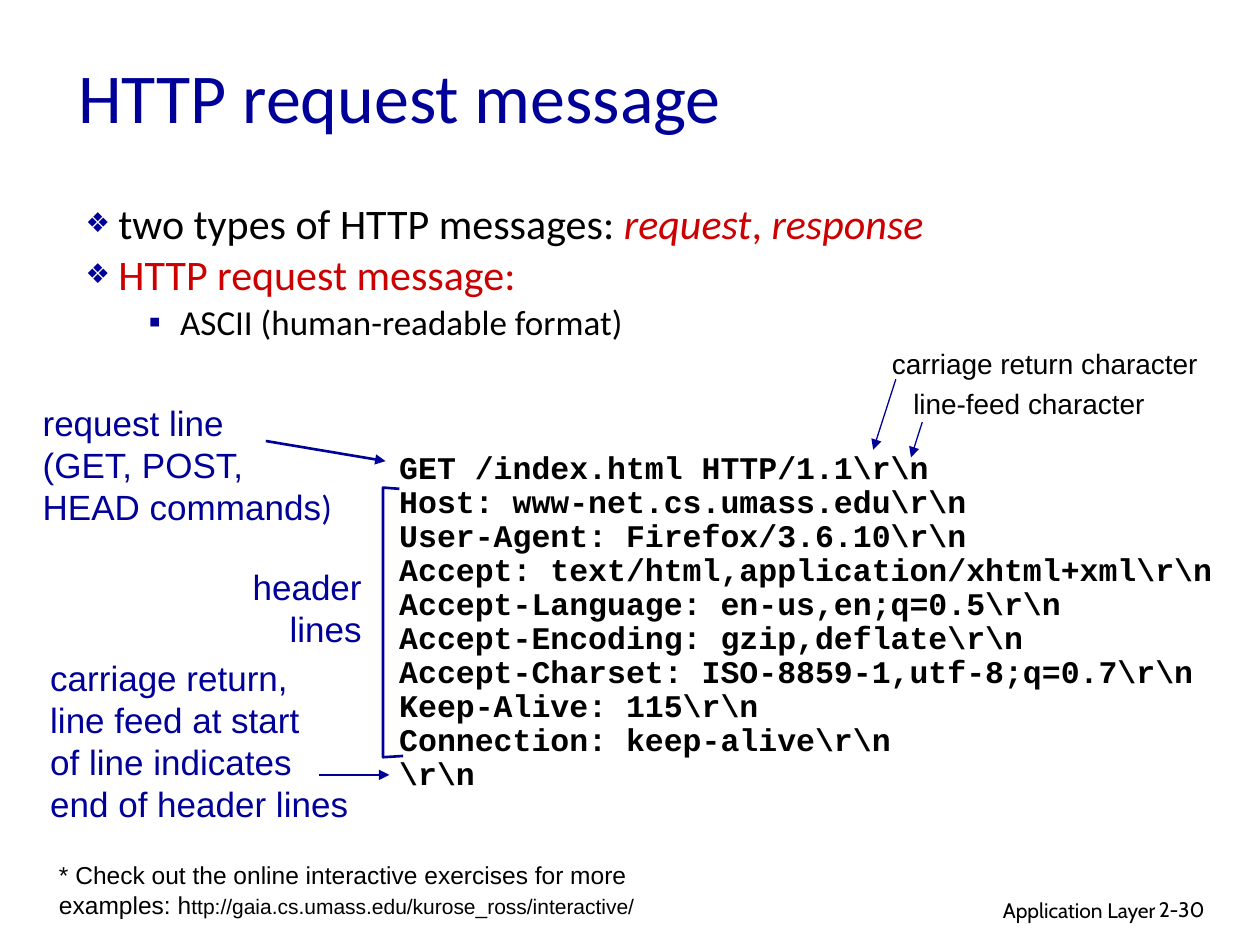
"""Build the slide that explains the parts of an HTTP request message."""
from dataclasses import dataclass

from lxml import etree
from pptx import Presentation
from pptx import util as u
from pptx.dml.color import RGBColor
from pptx.enum import shapes, text
from pptx.oxml.ns import qn

NAVY = RGBColor(0x00, 0x00, 0x99)
RED = RGBColor(0xCC, 0x00, 0x00)
BLACK = RGBColor(0x00, 0x00, 0x00)
COLUMNS, ROWS = 100, 75
LEFT, RIGHT = text.PP_ALIGN.LEFT, text.PP_ALIGN.RIGHT

deck = Presentation()
deck.slide_width, deck.slide_height = u.Inches(10), u.Inches(7.5)
slide = deck.slides.add_slide(deck.slide_layouts[1])


@dataclass(frozen=True)
class Run:
    words: str
    size: float
    color: RGBColor = BLACK
    font: str = "Arial"
    bold: bool = False
    italic: bool = False


@dataclass(frozen=True)
class Label:
    area: tuple[float, float, float, float]
    lines: list[list[Run]]
    align: text.PP_ALIGN = LEFT
    spacing: float | None = None
    wrap: bool = False


@dataclass(frozen=True)
class Arrow:
    start: tuple[float, float]
    end: tuple[float, float]
    weight: float


@dataclass(frozen=True)
class Bullet:
    runs: list[Run]
    level: int
    mark: str
    indent: float
    hanging: float
    percent: int
    before: float


def grid(column: float, row: float) -> tuple[int, int]:
    return round(deck.slide_width * column / COLUMNS), round(deck.slide_height * row / ROWS)


def place(shape, area: tuple[float, float, float, float]) -> None:
    shape.left, shape.top = grid(*area[:2])
    shape.width, shape.height = grid(*area[2:])


def write(paragraph, runs: list[Run]) -> None:
    for part in runs:
        run = paragraph.add_run()
        run.text = part.words
        run.font.size, run.font.name = u.Pt(part.size), part.font
        run.font.bold, run.font.italic = part.bold, part.italic
        run.font.color.rgb = part.color


def paragraphs(frame, count: int) -> list:
    return [frame.paragraphs[0]] + [frame.add_paragraph() for _ in range(count - 1)]


def draw_label(label: Label) -> None:
    frame = slide.shapes.add_textbox(*grid(*label.area[:2]), *grid(*label.area[2:])).text_frame
    frame.word_wrap = label.wrap
    frame.auto_size = text.MSO_AUTO_SIZE.SHAPE_TO_FIT_TEXT
    for paragraph, runs in zip(paragraphs(frame, len(label.lines)), label.lines):
        paragraph.alignment = label.align
        if label.spacing:
            paragraph.line_spacing = label.spacing
        write(paragraph, runs)


def draw_arrow(arrow: Arrow) -> None:
    line = slide.shapes.add_connector(
        shapes.MSO_CONNECTOR.STRAIGHT, *grid(*arrow.start), *grid(*arrow.end))
    line.line.color.rgb, line.line.width = NAVY, u.Pt(arrow.weight)
    etree.SubElement(line.line._get_or_add_ln(), qn("a:tailEnd"), type="triangle")
    etree.SubElement(line._element.spPr, qn("a:effectLst"))


def draw_bracket(points: list[tuple[float, float]], weight: float) -> None:
    first, *rest = [grid(*point) for point in points]
    builder = slide.shapes.build_freeform(*first)
    builder.add_line_segments(rest, close=False)
    bracket = builder.convert_to_shape()
    bracket.fill.background()
    bracket.shadow.inherit = False
    bracket.line.color.rgb, bracket.line.width = NAVY, u.Pt(weight)


def write_bullet(paragraph, bullet: Bullet) -> None:
    paragraph.level = bullet.level
    properties = paragraph._p.get_or_add_pPr()
    properties.set("marL", str(u.Inches(bullet.indent)))
    properties.set("indent", str(-u.Inches(bullet.hanging)))
    color = etree.SubElement(properties, qn("a:buClr"))
    etree.SubElement(color, qn("a:srgbClr"), val=str(NAVY))
    etree.SubElement(properties, qn("a:buSzPct"), val=str(bullet.percent * 1000))
    etree.SubElement(properties, qn("a:buChar"), char=bullet.mark)
    paragraph.line_spacing, paragraph.space_before = 0.85, u.Pt(bullet.before)
    write(paragraph, bullet.runs)


def callout(*lines: str) -> list[list[Run]]:
    return [[Run(line, 20, NAVY)] for line in lines]


def topic(*runs: Run, before: float) -> Bullet:
    return Bullet(list(runs), 0, "❖", 0.26, 0.26, 65, before)


REQUEST = [
    r"GET /index.html HTTP/1.1\r\n",
    r"Host: www-net.cs.umass.edu\r\n",
    r"User-Agent: Firefox/3.6.10\r\n",
    r"Accept: text/html,application/xhtml+xml\r\n",
    r"Accept-Language: en-us,en;q=0.5\r\n",
    r"Accept-Encoding: gzip,deflate\r\n",
    r"Accept-Charset: ISO-8859-1,utf-8;q=0.7\r\n",
    r"Keep-Alive: 115\r\n",
    r"Connection: keep-alive\r\n",
    r"\r\n",
]
BULLETS = [
    topic(Run("two types of HTTP messages: ", 24, font="Calibri"),
          Run("request", 24, RED, "Calibri", italic=True),
          Run(", ", 24, RED, "Calibri"),
          Run("response", 24, RED, "Calibri", italic=True), before=0),
    topic(Run("HTTP request message:", 24, RED, "Calibri"), before=4.8),
    Bullet([Run("ASCII (human-readable format)", 20, font="Calibri")],
           1, "▪", 0.75, 0.25, 100, 4),
]
request_line = callout("request line", "(GET, POST,", "HEAD commands")
request_line[-1].append(Run(")", 20, NAVY, "Calibri"))
LABELS = [
    Label((61, 70.7, 31.7, 3.1), [[Run("Application Layer", 12, font="Cabin")]], RIGHT, wrap=True),
    Label((91, 70.7, 7.4, 3), [[Run("2-30", 12, font="Cabin")]], wrap=True),
    Label((2.4, 31.4, 25, 11), request_line),
    Label((19, 44.4, 10.7, 7.7), callout("header", "lines"), RIGHT),
    Label((3, 51.6, 25.9, 14.1), callout("carriage return,", "line feed at start",
                                         "of line indicates", "end of header lines")),
    Label((30.7, 35.4, 67.2, 28.3),
          [[Run(line, 18, font="Courier New", bold=True)] for line in REQUEST], spacing=0.9),
    Label((69.8, 27, 26.4, 3.7), [[Run("carriage return character", 16)]]),
    Label((71.5, 30.2, 20.4, 3.7), [[Run("line-feed character", 16)]]),
    Label((3.7, 67.8, 49.3, 5.7),
          [[Run("* Check out the online interactive exercises for more examples: h", 14),
            Run("ttp://gaia.cs.umass.edu/kurose_ross/interactive/", 12)]], wrap=True),
]
ARROWS = [
    Arrow((21.1, 35), (30.6, 36.6), 1.5),
    Arrow((25.3, 61.5), (30.9, 61.5), 1.5),
    Arrow((71.1, 30.1), (69.3, 35.7), 0.75),
    Arrow((73.2, 33.5), (72.3, 36.3), 0.75),
]


def main() -> None:
    title, body = slide.placeholders
    place(title, (5.2, 2.6, 85, 10))
    title.text_frame.vertical_anchor = text.MSO_ANCHOR.MIDDLE
    heading = title.text_frame.paragraphs[0]
    heading.alignment = LEFT
    write(heading, [Run("HTTP request message", 40, NAVY, "Calibri")])

    place(body, (5.8, 15.8, 85, 50.8))
    body.text_frame.auto_size = text.MSO_AUTO_SIZE.NONE
    for paragraph, bullet in zip(paragraphs(body.text_frame, len(BULLETS)), BULLETS):
        write_bullet(paragraph, bullet)

    for label in LABELS:
        draw_label(label)
    for arrow in ARROWS:
        draw_arrow(arrow)
    draw_bracket([(31.7, 38.8), (30.4, 38.7), (30.4, 60.1), (32, 60)], 1.5)
    deck.save("out.pptx")


if __name__ == "__main__":
    main()
